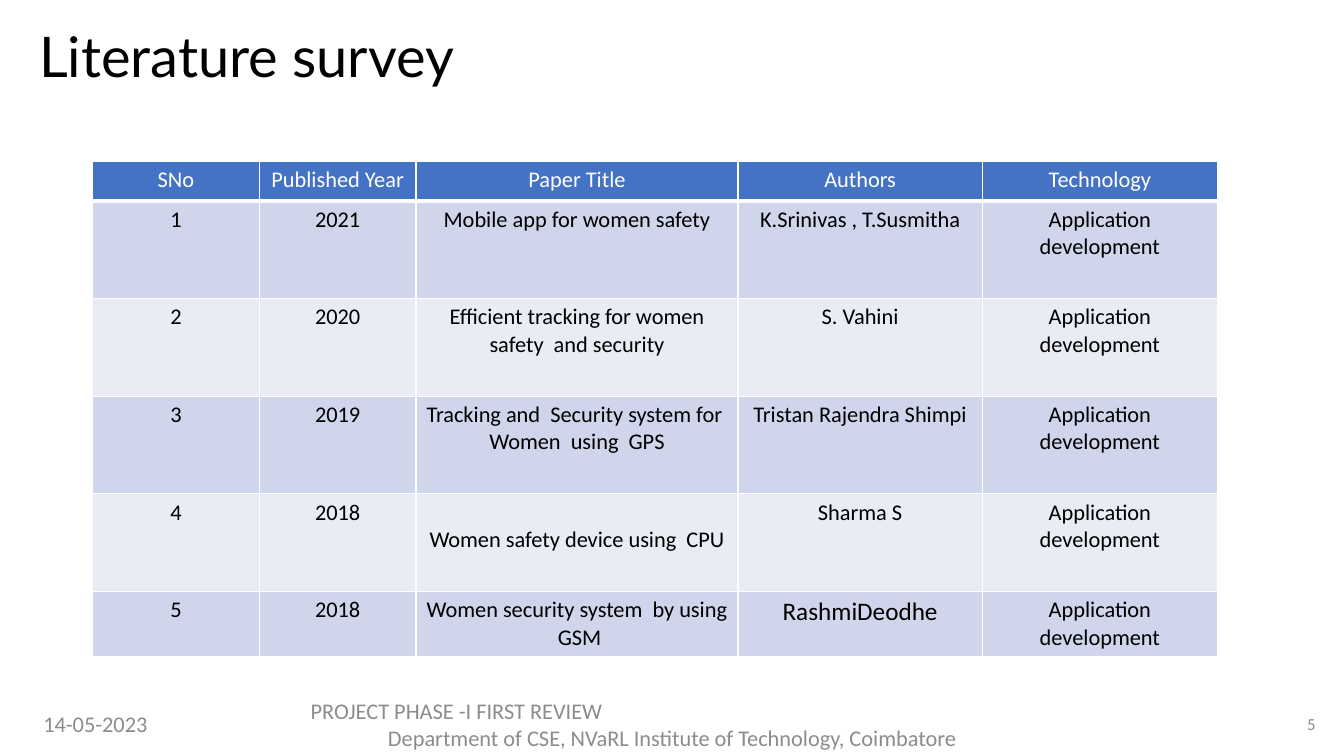
from lxml.etree import SubElement
from pptx import Presentation
from pptx.dml.color import RGBColor
from pptx.enum.text import MSO_ANCHOR as Anchor, PP_ALIGN as Align
from pptx.oxml.ns import qn
from pptx.util import Pt

WHITE, BLACK, GREY, BLUE = "FFFFFF", "000000", "8C8C8C", "4472C4"
BANDS = ["E9EBF5", "CFD5EA"]
COLUMN_WIDTHS = [119, 112, 230, 174.5, 168]
ROW_HEIGHTS = [28, 69.8, 69.8, 69.8, 69.8, 46.5]
HEADINGS = ["SNo", "Published Year", "Paper Title", "Authors", "Technology"]
PAPERS = [
    ("2021", "Mobile app for women safety", "K.Srinivas , T.Susmitha"),
    ("2020", "Efficient tracking for women safety  and security", "S. Vahini"),
    ("2019", "Tracking and  Security system for  Women  using  GPS", "Tristan Rajendra Shimpi"),
    ("2018", "Women safety device using  CPU", "Sharma S"),
    ("2018", "Women security system  by using  GSM", "RashmiDeodhe"),
]
TECHNOLOGY = "Application development"


def colour(hex_value):
    return RGBColor.from_string(hex_value)


def apply_format(target, values):
    for name, value in values.items():
        setattr(target, name, value)


def write(paragraph, text, size, hex_value, align, font="Calibri", spacing=1.0):
    apply_format(paragraph, {"alignment": align, "line_spacing": spacing})
    run = paragraph.add_run()
    run.text = text
    apply_format(run.font, {"name": font, "size": Pt(size)})
    run.font.color.rgb = colour(hex_value)


def add_label(slide, box, lines, size, hex_value, **style):
    frame = slide.shapes.add_textbox(*map(Pt, box)).text_frame
    apply_format(frame, {"word_wrap": True, "vertical_anchor": Anchor.MIDDLE})
    for index, (text, align) in enumerate(lines):
        paragraph = frame.add_paragraph() if index else frame.paragraphs[0]
        write(paragraph, text, size, hex_value, align, **style)


def set_borders(cell, widths):
    properties = cell._tc.get_or_add_tcPr()
    for side, width in widths.items():
        line = SubElement(properties, qn(f"a:ln{side}"), w=str(Pt(width)))
        fill = SubElement(line, qn("a:solidFill"))
        SubElement(fill, qn("a:srgbClr"), val=WHITE)


def fill_cell(cell, text, size, text_colour, band, borders):
    set_borders(cell, borders)
    cell.fill.solid()
    cell.fill.fore_color.rgb = colour(band)
    write(cell.text_frame.paragraphs[0], text, size, text_colour, Align.CENTER)


def add_survey(slide):
    records = [HEADINGS] + [
        (str(number), *paper, TECHNOLOGY) for number, paper in enumerate(PAPERS, 1)
    ]
    survey = slide.shapes.add_table(
        len(records), len(HEADINGS), Pt(66.2), Pt(115.4),
        Pt(sum(COLUMN_WIDTHS)), Pt(sum(ROW_HEIGHTS)),
    ).table
    for column, width in zip(survey.columns, COLUMN_WIDTHS):
        column.width = Pt(width)
    for row, height in zip(survey.rows, ROW_HEIGHTS):
        row.height = Pt(height)
    for r, record in enumerate(records):
        text_colour, band = (BLACK, BANDS[r % 2]) if r else (WHITE, BLUE)
        borders = {"L": 1, "R": 1, "T": 3 if r == 1 else 1, "B": 1 if r else 3}
        for c, text in enumerate(record):
            size = 18 if text == "RashmiDeodhe" else 16
            fill_cell(survey.cell(r, c), text, size, text_colour, band, borders)
    survey.cell(4, 2).margin_top = Pt(23.1)


def main():
    deck = Presentation()
    apply_format(deck, {"slide_width": Pt(960), "slide_height": Pt(540)})
    slide = deck.slides.add_slide(deck.slide_layouts[6])

    add_label(slide, (21, 9.3, 820, 66.2), [("Literature survey", Align.LEFT)],
              40, BLACK, font="Lato", spacing=0.9)
    add_survey(slide)

    footer_top, footer_height = 502.6, 28.8
    review = [
        ("PROJECT PHASE -I FIRST REVIEW", Align.LEFT),
        ("Department of CSE, NVaRL Institute of Technology, Coimbatore", Align.CENTER),
    ]
    footers = [
        (23.8, 104.4, [("14-05-2023", Align.LEFT)], 16),
        (214.8, 530.8, review, 16),
        (902.9, 43.9, [("5", Align.RIGHT)], 12),
    ]
    for left, width, lines, size in footers:
        add_label(slide, (left, footer_top, width, footer_height), lines, size, GREY)

    deck.save("out.pptx")


main()
